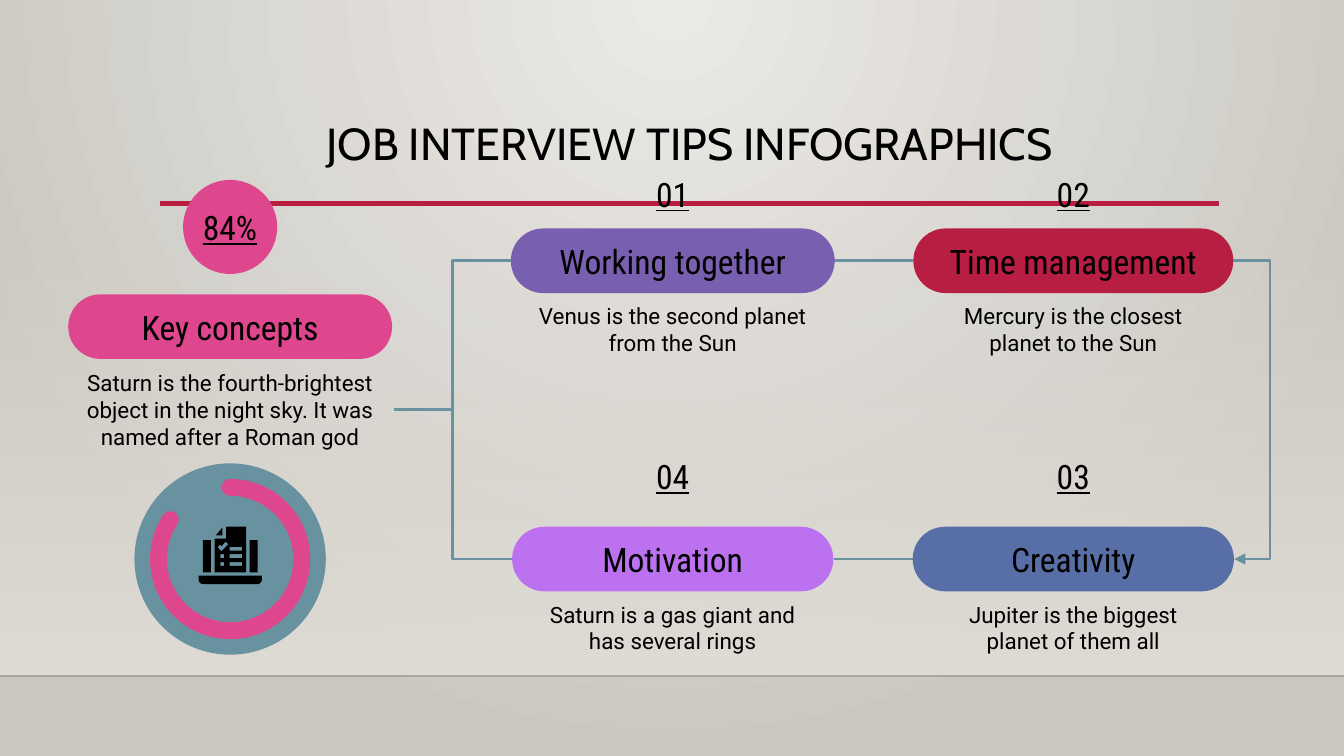
from dataclasses import dataclass

from pptx import Presentation
from pptx import util as u
from pptx.dml.color import RGBColor
from pptx.enum import shapes, text
from pptx.oxml import ns, xmlchemy

COLORS = {
    "glow": "ECEAE7", "wall": "CAC7C1", "floor": "DFDBD5", "edge": "000001",
    "ink": "000000", "crimson": "B71E42", "teal": "6892A0", "pink": "DE478E",
    "purple": "795FAF", "violet": "BC72F0", "blue": "586EA6",
}
CONDENSED = "Roboto Condensed"
PILL_HEIGHT = 34.6
INSET = 7.2
LEFT_CENTER, RIGHT_CENTER = 360.4, 575
TOP_AXIS, BOTTOM_AXIS = 139.7, 299.5
KEY_CENTER = 123.3


@dataclass
class Card:
    label: str
    caption: str
    color: str
    center: float
    axis: float
    width: float
    caption_width: float
    caption_height: float = 38.9
    number: str = ""
    number_top: float = 0


CARDS = [
    Card("Working together", "Venus is the second planet from the Sun", "purple",
         LEFT_CENTER, TOP_AXIS, 173.5, 158.4, number="01", number_top=88.6),
    Card("Motivation", "Saturn is a gas giant and has several rings", "violet",
         LEFT_CENTER, BOTTOM_AXIS, 172.1, 158.4, number="04", number_top=239.8),
    Card("Time management", "Mercury is the closest planet to the Sun", "crimson",
         RIGHT_CENTER, TOP_AXIS, 171.4, 157.7, number="02", number_top=88.6),
    Card("Creativity", "Jupiter is the biggest planet of them all", "blue",
         RIGHT_CENTER, BOTTOM_AXIS, 172.1, 157.7, number="03", number_top=239.8),
    Card("Key concepts",
         "Saturn is the fourth-brightest object in the night sky. It was named after a Roman god",
         "pink", KEY_CENTER, 175, 173.5, 175, 54),
]


def rgb(name: str) -> RGBColor:
    return RGBColor.from_string(COLORS[name])


def add_child(parent, tag: str, **attributes: str):
    child = xmlchemy.OxmlElement(tag)
    for key, value in attributes.items():
        child.set(key, value)
    parent.append(child)
    return child


def set_opacity(element, percent: int) -> None:
    """Set the opacity of the first explicit colour inside the element."""
    color = element.find(".//" + ns.qn("a:srgbClr"))
    add_child(color, "a:alpha", val=str(percent * 1000))


def set_stops(fill, *names: str) -> None:
    fill.gradient()
    for position, (stop, name) in enumerate(zip(fill.gradient_stops, names)):
        stop.color.rgb = rgb(name)
        stop.position = position


def write(shape, words: str, size: float, font: str, side: float = INSET,
          vertical: float = INSET, underline: bool = False):
    frame = shape.text_frame
    frame.word_wrap = True
    frame.vertical_anchor = text.MSO_ANCHOR.MIDDLE
    frame.margin_left = frame.margin_right = u.Pt(side)
    frame.margin_top = frame.margin_bottom = u.Pt(vertical)
    paragraph = frame.paragraphs[0]
    paragraph.text = words
    paragraph.alignment = text.PP_ALIGN.CENTER
    paragraph.font.name = font
    paragraph.font.size = u.Pt(size)
    paragraph.font.color.rgb = rgb("ink")
    if underline:
        paragraph.font.underline = True
    return paragraph


def add_box(parent, left: float, top: float, width: float, height: float):
    return parent.add_textbox(u.Pt(left), u.Pt(top), u.Pt(width), u.Pt(height))


def add_plain(parent, kind, left: float, top: float, width: float, height: float, color: str):
    shape = parent.add_shape(kind, u.Pt(left), u.Pt(top), u.Pt(width), u.Pt(height))
    finish(shape, color)
    return shape


def finish(shape, color: str) -> None:
    shape.shadow.inherit = False
    shape.fill.solid()
    shape.fill.fore_color.rgb = rgb(color)
    shape.line.fill.background()


def add_circle(parent, center_x: float, center_y: float, size: float, color: str):
    return add_plain(parent, shapes.MSO_SHAPE.OVAL, center_x - size / 2,
                     center_y - size / 2, size, size, color)


def add_line(parent, begin: tuple, end: tuple, color: str = "teal", width: float = 1.5,
             bend_x: float | None = None):
    """Draw a line, or an elbow whose upright part stands at bend_x."""
    kind = shapes.MSO_CONNECTOR.STRAIGHT if bend_x is None else shapes.MSO_CONNECTOR.ELBOW
    connector = parent.add_connector(kind, *(u.Pt(value) for value in (*begin, *end)))
    connector.line.color.rgb = rgb(color)
    connector.line.width = u.Pt(width)
    properties = connector._element.spPr
    add_child(properties, "a:effectLst")
    if bend_x is not None:
        ratio = (bend_x - begin[0]) / (end[0] - begin[0])
        guides = properties.find(".//" + ns.qn("a:avLst"))
        add_child(guides, "a:gd", name="adj1", fmla=f"val {round(ratio * 100000)}")
    return connector


def line_element(shape):
    return shape._element.spPr.find(ns.qn("a:ln"))


def add_card(parent, card: Card):
    group = parent.add_group_shape().shapes
    top = card.axis - PILL_HEIGHT / 2
    pill = add_plain(group, shapes.MSO_SHAPE.ROUNDED_RECTANGLE, card.center - card.width / 2,
                     top, card.width, PILL_HEIGHT, card.color)
    pill.adjustments[0] = 0.5
    write(pill, card.label, 18, CONDENSED, side=0)
    if card.number:
        number = add_box(group, card.center - 27.2, card.number_top, 54.4, 30.2)
        write(number, card.number, 18, CONDENSED, underline=True)
    caption = add_box(group, card.center - card.caption_width / 2, top + PILL_HEIGHT,
                      card.caption_width, card.caption_height)
    write(caption, card.caption, 12, "Roboto")
    return group


def rectangle(left: float, top: float, width: float, height: float) -> list:
    right, bottom = left + width, top + height
    return [(left, top), (right, top), (right, bottom), (left, bottom)]


def add_outline(parent, contours: list) -> None:
    """Fill closed contours as one shape; inner contours become holes."""
    scaled = [[(u.Pt(x), u.Pt(y)) for x, y in contour] for contour in contours]
    builder = parent.build_freeform(*scaled[0][0], scale=1.0)
    for index, contour in enumerate(scaled):
        if index:
            builder.move_to(*contour[0])
        builder.add_line_segments(contour[1:], close=True)
    finish(builder.convert_to_shape(), "ink")


def add_checklist_icon(parent) -> None:
    group = parent.add_group_shape().shapes
    page = [(121.2, 282.2), (131.9, 282.2), (131.9, 306.7), (115, 306.7),
            (115, 288.6), (121.2, 288.6)]
    tick = [(121, 290.2), (122.4, 291.6), (118.6, 295.4), (116.6, 293.2),
            (118, 291.8), (118.7, 292.6)]
    row_tops = [293, 297, 301.2]
    bars = [rectangle(123.1, top, 6.6, 2) for top in row_tops]
    bullets = [rectangle(118.1, top, 2, 2) for top in row_tops[1:]]
    add_outline(group, [page, tick, *bars, *bullets])
    add_outline(group, [[(119.1, 282.7), (119.1, 286.8), (115.6, 286.8)]])
    for left in (108.7, 133.8):
        add_plain(group, shapes.MSO_SHAPE.RECTANGLE, left, 289.4, 4.3, 17.3, "ink")
    base = add_plain(group, shapes.MSO_SHAPE.ROUND_2_SAME_RECTANGLE,
                     106.5, 308.4, 33.8, 4.5, "ink")
    base.adjustments[0], base.adjustments[1] = 0, 0.5


def add_backdrop(slide) -> None:
    set_stops(slide.background.fill, "glow", "wall")
    gradient = slide._element.find(".//" + ns.qn("a:gradFill"))
    gradient.remove(gradient.find(ns.qn("a:lin")))
    path = add_child(gradient, "a:path", path="circle")
    add_child(path, "a:fillToRect", l="43000", t="0", r="43000", b="100000")
    floor = add_plain(slide.shapes, shapes.MSO_SHAPE.RECTANGLE, 0, 119.5, 720, 242.6, "floor")
    set_stops(floor.fill, "floor", "floor")
    floor.fill.gradient_angle = 270
    set_opacity(floor._element.spPr, 0)
    edge = add_line(slide.shapes, (0, 362.2), (720, 362.2), "edge", 1)
    set_opacity(line_element(edge), 20)


def add_progress_ring(parent) -> None:
    add_circle(parent, KEY_CENTER, 299.5, 102.5, "teal")
    ring = add_plain(parent, shapes.MSO_SHAPE.ARC, KEY_CENTER - 38.4, 261.1, 76.8, 76.8, "pink")
    ring.fill.background()
    ring.line.color.rgb = rgb("pink")
    ring.line.width = u.Pt(9)
    line_element(ring).set("cap", "rnd")
    for index, degrees in enumerate((270, 213.4)):
        ring.adjustments[index] = degrees * 0.6
    add_checklist_icon(parent)


def main() -> None:
    presentation = Presentation()
    presentation.slide_width, presentation.slide_height = u.Pt(720), u.Pt(405)
    slide = presentation.slides.add_slide(presentation.slide_layouts[6])
    parent = slide.shapes
    add_backdrop(slide)
    add_line(parent, (85.7, 108.9), (653, 108.9), "crimson", 2.5)
    title = add_box(parent, 85.7, 47.4, 567.4, 61.6)
    write(title, "JOB INTERVIEW TIPS INFOGRAPHICS", 24, "Cabin").line_spacing = 0.9
    for axis in (TOP_AXIS, BOTTOM_AXIS):
        add_line(parent, (446.7, axis), (489.2, axis))
        add_line(parent, (211, 219.6), (274.2, axis), bend_x=242.6)
    loop = add_line(parent, (660.7, TOP_AXIS), (661.2, BOTTOM_AXIS), bend_x=680)
    add_child(line_element(loop), "a:tailEnd", type="triangle")
    add_progress_ring(parent)
    for card in CARDS:
        group = add_card(parent, card)
    badge = add_circle(group, KEY_CENTER, 121.6, 50.4, "pink")
    write(badge, "84%", 18, CONDENSED, side=0, vertical=0, underline=True)
    presentation.save("out.pptx")


if __name__ == "__main__":
    main()
